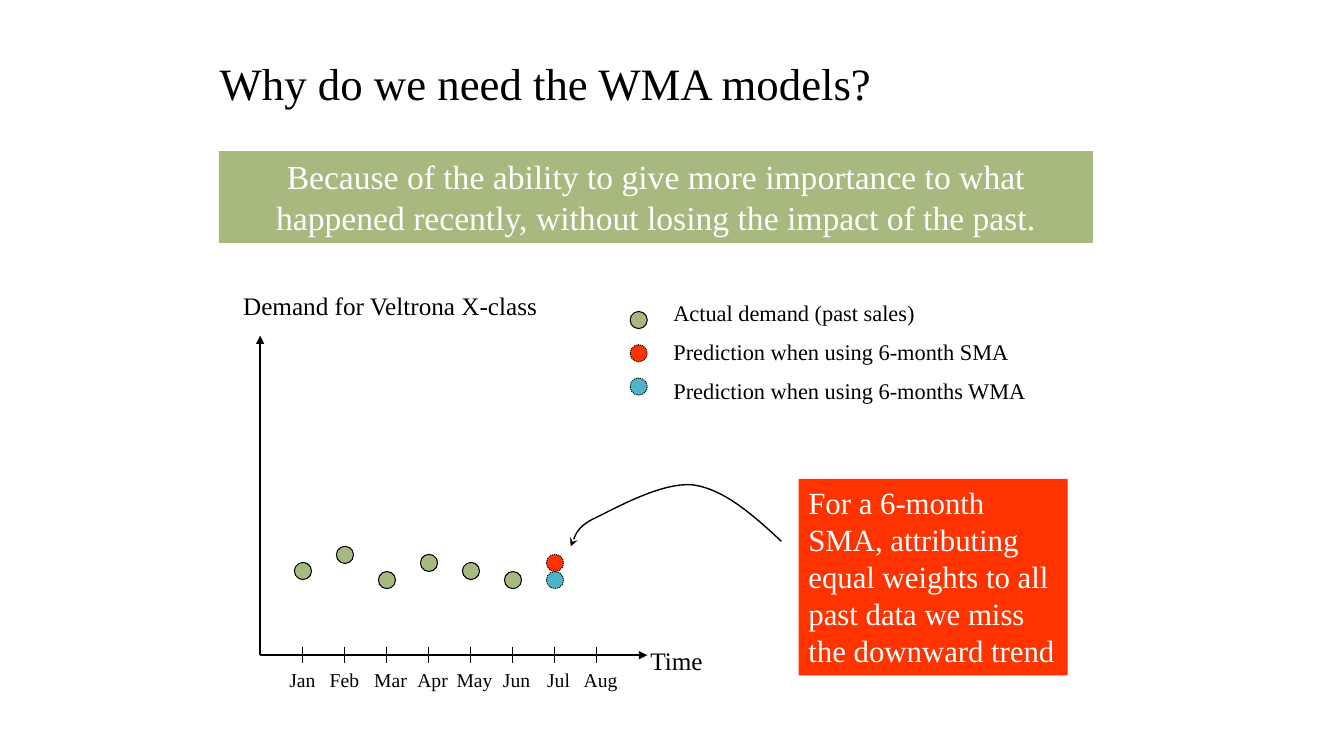
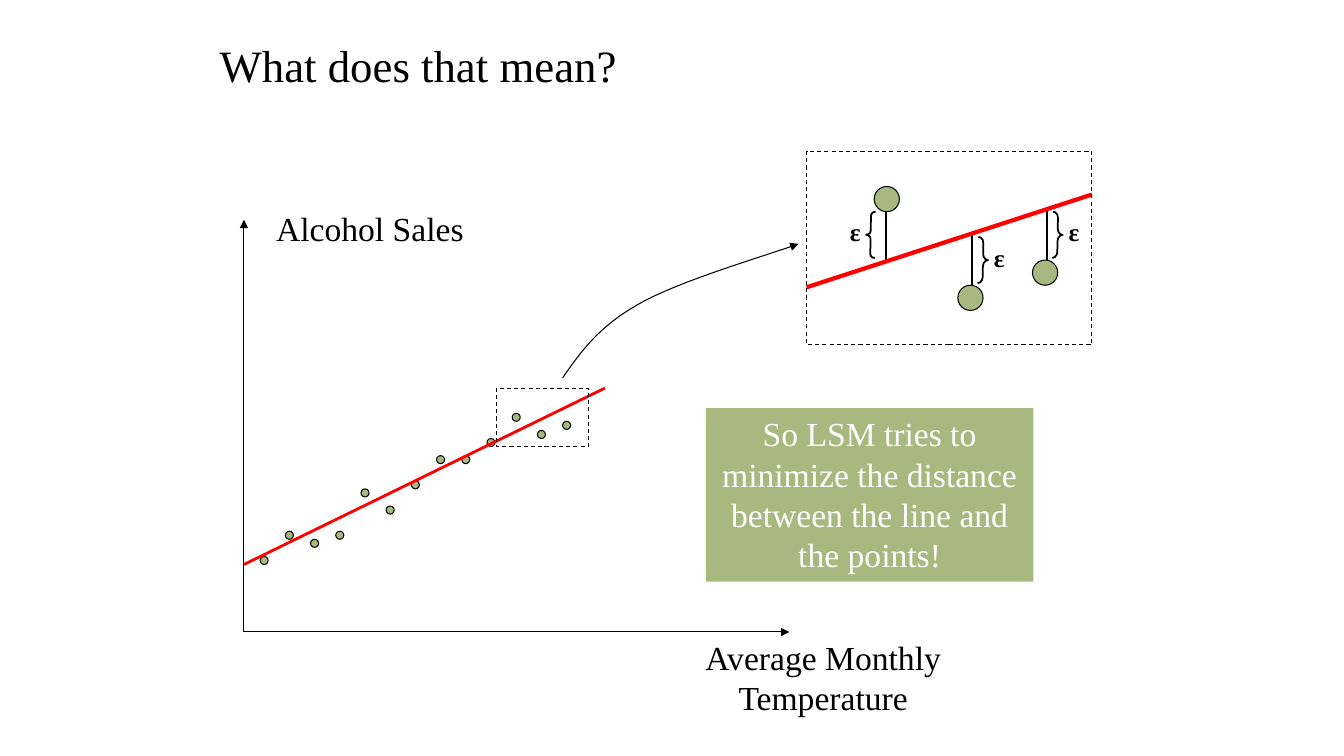
import pptx
import pptx.util
import pptx.dml.color
import pptx.enum.dml
import pptx.enum.shapes
import pptx.enum.text
import pptx.oxml.ns
import lxml.etree

Inches = pptx.util.Inches
Pt = pptx.util.Pt
Shape = pptx.enum.shapes.MSO_SHAPE
Dash = pptx.enum.dml.MSO_LINE
Align = pptx.enum.text.PP_ALIGN
Straight = pptx.enum.shapes.MSO_CONNECTOR.STRAIGHT
qn = pptx.oxml.ns.qn

FONT = "Times New Roman"
BLACK, WHITE = "000000", "FFFFFF"
GREEN, ORANGE, TEAL, RED = "A8B97F", "FF3300", "50B4C8", "FF0000"


def paint(shape, fill=None, line=BLACK, width=0.75, dash=None, head=None, tail=None):
    color = pptx.dml.color.RGBColor.from_string
    if hasattr(shape, "fill"):
        shape.shadow.inherit = False
        if fill:
            shape.fill.solid()
            shape.fill.fore_color.rgb = color(fill)
        else:
            shape.fill.background()
    if line:
        shape.line.color.rgb = color(line)
        shape.line.width = Pt(width)
        if dash:
            shape.line.dash_style = dash
    else:
        shape.line.fill.background()
    props = shape.element.spPr
    for tag, kind in (("a:headEnd", head), ("a:tailEnd", tail)):
        if kind:
            lxml.etree.SubElement(props.find(qn("a:ln")), qn(tag)).set("type", kind)
    if not hasattr(shape, "fill"):
        lxml.etree.SubElement(props, qn("a:effectLst"))
    return shape


def write(slide, at, text, size, align=Align.LEFT, fill=None, bold=False):
    place = [Inches(v) for v in at]
    if fill:
        box = paint(slide.shapes.add_shape(Shape.RECTANGLE, *place), fill, None)
    else:
        box = slide.shapes.add_textbox(*place)
    frame = box.text_frame
    frame.text = text
    frame.word_wrap = True
    frame.vertical_anchor = pptx.enum.text.MSO_ANCHOR.TOP
    for index, para in enumerate(frame.paragraphs):
        para.alignment = align
        if index:
            para.space_before = Pt(size * 0.55)
        for run in para.runs:
            run.font.name = FONT
            run.font.size = Pt(size)
            run.font.bold = bold
            run.font.color.rgb = pptx.dml.color.RGBColor.from_string(WHITE if fill else BLACK)


deck = pptx.Presentation()
deck.slide_width = Inches(13.33)
deck.slide_height = Inches(7.5)
why, mean = [deck.slides.add_slide(deck.slide_layouts[6]) for _ in range(2)]

write(why, (2.08, 0.5, 9.25, 0.63), "Why do we need the WMA models?", 32)
write(mean, (2.08, 0.33, 9.08, 0.63), "What does that mean?", 32)

write(why, (2.17, 1.5, 8.67, 0.91),
      "Because of the ability to give more importance to what happened recently, "
      "without losing the impact of the past.", 24, Align.CENTER, GREEN)
write(why, (2.08, 2.83, 3.58, 0.4), "Demand for Veltrona X-class", 18, Align.CENTER)
write(why, (6.17, 6.35, 1.08, 0.4), "Time", 18, Align.CENTER)
write(why, (6.58, 2.92, 4.58, 1.17),
      "Actual demand (past sales)\nPrediction when using 6-month SMA\n"
      "Prediction when using 6-months WMA", 16)
write(why, (7.92, 4.75, 2.67, 1.95),
      "For a 6-month SMA, attributing equal weights to all past data "
      "we miss the downward trend", 22, fill=ORANGE)

write(mean, (2.64, 2.01, 2.67, 0.5), "Alcohol Sales", 24)
write(mean, (6.83, 6.27, 2.67, 0.91), "Average Monthly Temperature", 24, Align.CENTER)
write(mean, (7, 4.05, 3.25, 1.72),
      "So LSM tries to minimize the distance between the line and the points!",
      24, Align.CENTER, GREEN)

months = ["Jan", "Feb", "Mar", "Apr", "May", "Jun", "Jul", "Aug"]
ticks = [3 + i * 5 / 12 for i in range(len(months))]
for i, (month, x) in enumerate(zip(months, ticks)):
    write(why, (x - 0.25, 6.58, 0.5 if i < 2 else 0.58, 0.33), month, 14, Align.CENTER)

stems = [(8.79, 2.02, 2.61), (9.64, 2.33, 2.83), (10.38, 2.08, 2.58)]
lines = [
    (why, 2.58, 6.5, 2.58, 3.33, BLACK, 1.25, "triangle"),
    (why, 2.58, 6.5, 6.42, 6.5, BLACK, 1.25, "triangle"),
    (mean, 2.42, 6.27, 2.42, 2.18, BLACK, 0.75, "triangle"),
    (mean, 2.42, 6.27, 7.83, 6.27, BLACK, 0.75, "triangle"),
]
lines += [(why, x, 6.42, x, 6.58, BLACK, 0.75, None) for x in ticks]
lines += [(mean, x, top, x, low, BLACK, 1.5, None) for x, top, low in stems]
trends = [
    (mean, 2.42, 5.6, 6, 3.85, RED, 2, None),
    (mean, 8, 2.85, 10.83, 1.93, RED, 3, None),
]

dots = [(why, x - 0.08, y, 0.17, GREEN, None)
        for x, y in zip(ticks, [5.58, 5.42, 5.67, 5.5, 5.58, 5.67])]
dots += [(why, 5.42, 5.67, 0.17, TEAL, Dash.ROUND_DOT),
         (why, 5.42, 5.5, 0.17, ORANGE, Dash.ROUND_DOT)]
for i, (fill, dash) in enumerate([(GREEN, None), (ORANGE, Dash.ROUND_DOT), (TEAL, Dash.ROUND_DOT)]):
    dots.append((why, 6.25, 3.09 + i * 0.33, 0.17, fill, dash))
sales = [5.52, 5.27, 5.35, 5.27, 4.85, 5.02, 4.77, 4.52, 4.52, 4.35, 4.1, 4.27, 4.18]
small = [(mean, 2.58 + i * 0.25, y, 0.08, GREEN, None) for i, y in enumerate(sales)]
large = [(mean, x, y, 0.25, GREEN, None) for x, y in [(8.67, 1.85), (9.5, 2.83), (10.24, 2.58)]]

for group in (dots + small, lines + trends, large):
    for item in group:
        slide = item[0]
        if len(item) == 8:
            ends = [Inches(v) for v in item[1:5]]
            line = slide.shapes.add_connector(Straight, *ends)
            paint(line, line=item[5], width=item[6], tail=item[7])
        else:
            x, y, size, fill, dash = item[1:]
            dot = slide.shapes.add_shape(
                Shape.OVAL, Inches(x), Inches(y), Inches(size), Inches(size))
            paint(dot, fill, dash=dash)

for at in [(4.92, 3.85, 0.92, 0.58), (8, 1.5, 2.83, 1.92)]:
    frame = mean.shapes.add_shape(Shape.RECTANGLE, *[Inches(v) for v in at])
    paint(frame, dash=Dash.DASH)

braces = [
    (Shape.LEFT_BRACE, 8.59, 2.1, 0.09, 0.44, 8.33),
    (Shape.RIGHT_BRACE, 9.7, 2.35, 0.1, 0.61, 9.76),
    (Shape.RIGHT_BRACE, 10.44, 2.1, 0.1, 0.61, 10.5),
]
for kind, x, y, wide, bend, label in braces:
    brace = mean.shapes.add_shape(kind, Inches(x), Inches(y), Inches(wide), Inches(0.46))
    brace.adjustments[0] = bend
    brace.adjustments[1] = 0.5
    brace.rotation = 1.1
    paint(brace, width=1.25)
    write(mean, (label, y, 0.33, 0.4), "ε", 18, bold=True)

curves = [
    (why, [(5.66, 5.42), (5.7, 5.37), (5.68, 5.25), (5.88, 5.15), (6.09, 5.05),
           (6.56, 4.78), (6.87, 4.81), (7.18, 4.85), (7.47, 5.11), (7.75, 5.37)],
     1, "stealth", None),
    (mean, [(5.58, 3.75), (5.76, 3.49), (5.94, 3.24), (6.33, 3.02), (6.72, 2.79),
            (7.65, 2.52), (7.92, 2.42)],
     0.75, None, "triangle"),
]
steps = 16
for slide, knots, width, head, tail in curves:
    points = []
    for first in range(0, len(knots) - 1, 3):
        part = knots[first:first + 4]
        for step in range(1, steps + 1):
            t = step / steps
            blend = [(1 - t) ** 3, 3 * t * (1 - t) ** 2, 3 * t * t * (1 - t), t ** 3]
            points.append([Inches(sum(b * knot[axis] for b, knot in zip(blend, part)))
                           for axis in (0, 1)])
    path = slide.shapes.build_freeform(*[Inches(v) for v in knots[0]])
    path.add_line_segments(points, close=False)
    paint(path.convert_to_shape(), width=width, head=head, tail=tail)

deck.save("out.pptx")
